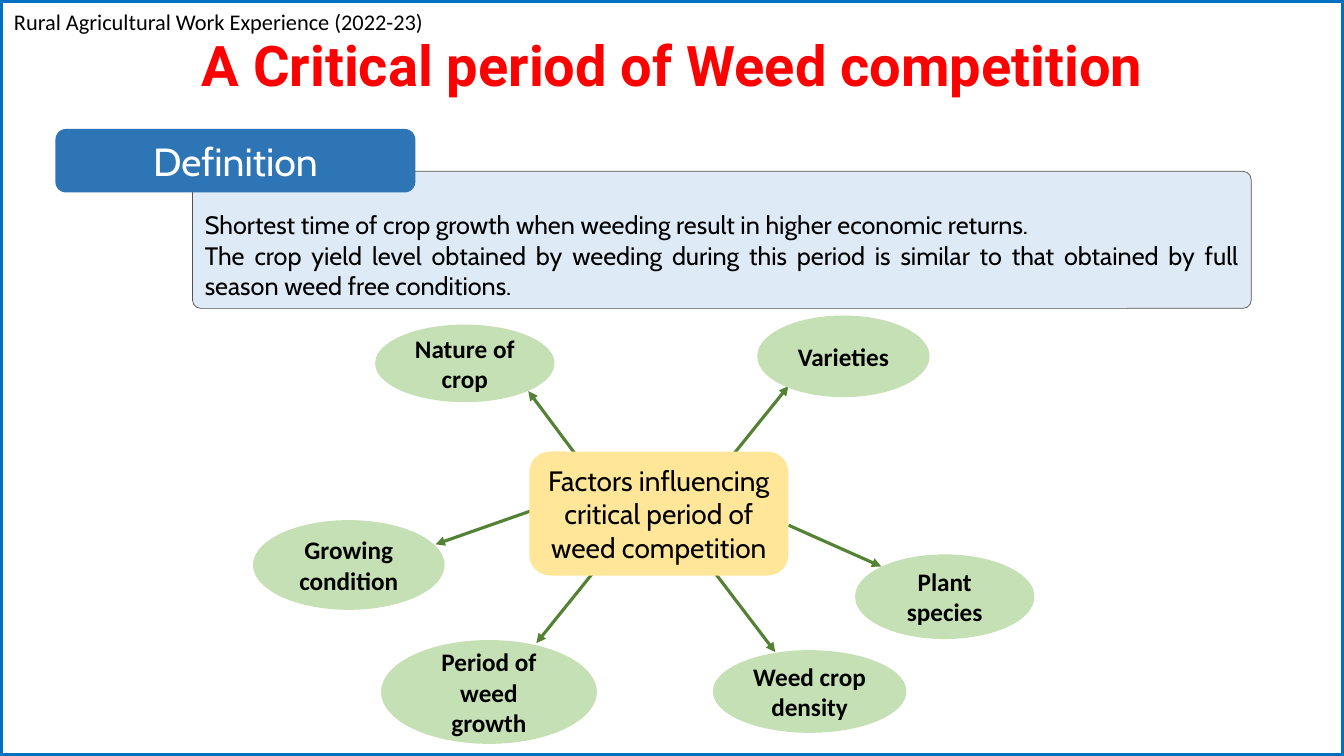
from dataclasses import dataclass

from lxml import etree
from pptx import Presentation
from pptx.dml.color import RGBColor
from pptx.enum.shapes import MSO_CONNECTOR, MSO_SHAPE
from pptx.enum.text import MSO_ANCHOR, PP_ALIGN
from pptx.oxml.ns import qn
from pptx.shapes.autoshape import Shape
from pptx.slide import Slide
from pptx.util import Inches, Pt

COLORS = {
    "border": "0070C0",
    "title": "FF0000",
    "text": "000000",
    "light_text": "FFFFFF",
    "panel": "DEEBF7",
    "panel_line": "525252",
    "heading": "2E75B6",
    "arrow": "548235",
    "hub": "FFE699",
    "factor": "C5E0B4",
}


@dataclass(frozen=True)
class TextStyle:
    name: str
    size: float
    color: str = "text"
    bold: bool = False
    align: PP_ALIGN = PP_ALIGN.CENTER


@dataclass(frozen=True)
class Area:
    left: float
    top: float
    width: float
    height: float

    def lengths(self) -> list[int]:
        return [Inches(v) for v in (self.left, self.top, self.width, self.height)]


@dataclass(frozen=True)
class Factor:
    """An influencing factor: its ellipse and the arrow that reaches it."""
    label: str
    area: Area
    start: tuple[float, float]
    end: tuple[float, float]


HEADER = TextStyle("Calibri", 16, align=PP_ALIGN.LEFT)
TITLE = TextStyle("Roboto", 40, "title", True)
HEADING = TextStyle("Cabin", 28, "light_text")
DEFINITION = TextStyle("Cabin", 18, align=PP_ALIGN.JUSTIFY)
HUB = TextStyle("Cabin", 20)
FACTOR = TextStyle("Calibri", 18, bold=True)

DEFINITION_LINES = [
    "Shortest time of crop growth when weeding result in higher economic returns.",
    "The crop yield level obtained by weeding during this period is similar to "
    "that obtained by full season weed free conditions.",
]

FACTORS = [
    Factor("Nature of crop", Area(3.72, 3.22, 1.78, 0.77), (5.77, 4.59), (5.24, 3.88)),
    Factor("Period of weed growth", Area(3.78, 6.35, 2.14, 1.03), (5.9, 5.66), (5.32, 6.38)),
    Factor("Growing condition", Area(2.51, 5.16, 1.9, 0.89), (5.29, 5.06), (4.32, 5.4)),
    Factor("Plant species", Area(8.48, 5.5, 1.78, 0.84), (7.82, 5.21), (8.74, 5.62)),
    Factor("Weed crop density", Area(7.07, 6.45, 1.92, 0.82), (7.05, 5.63), (7.69, 6.47)),
    Factor("Varieties", Area(7.51, 3.13, 1.71, 0.81), (7.24, 4.55), (7.82, 3.83)),
]


def rgb(color: str) -> RGBColor:
    return RGBColor.from_string(COLORS[color])


def write(box: Shape, lines: list[str], style: TextStyle) -> None:
    frame = box.text_frame
    frame.word_wrap = True
    font_values = {"name": style.name, "size": Pt(style.size), "bold": style.bold}
    for index, line in enumerate(lines):
        para = frame.add_paragraph() if index else frame.paragraphs[0]
        para.alignment = style.align
        span = para.add_run()
        span.text = line
        for attribute, value in font_values.items():
            setattr(span.font, attribute, value)
        span.font.color.rgb = rgb(style.color)


def add_text(page: Slide, area: Area, line: str, style: TextStyle) -> None:
    write(page.shapes.add_textbox(*area.lengths()), [line], style)


def add_box(page: Slide, kind: MSO_SHAPE, area: Area, fill: str | None = None,
            line: str | None = None, line_width: float = 1) -> Shape:
    box = page.shapes.add_shape(kind, *area.lengths())
    box.shadow.inherit = False
    box.text_frame.vertical_anchor = MSO_ANCHOR.MIDDLE
    if fill:
        box.fill.solid()
        box.fill.fore_color.rgb = rgb(fill)
    else:
        box.fill.background()
    if line:
        box.line.color.rgb = rgb(line)
        box.line.width = Pt(line_width)
    else:
        box.line.fill.background()
    return box


def add_arrow(page: Slide, start: tuple[float, float], end: tuple[float, float]) -> None:
    points = [Inches(v) for v in (*start, *end)]
    arrow = page.shapes.add_connector(MSO_CONNECTOR.STRAIGHT, *points)
    arrow.line.color.rgb = rgb("arrow")
    arrow.line.width = Pt(2.25)
    etree.SubElement(arrow.line._get_or_add_ln(), qn("a:tailEnd"), type="triangle")
    etree.SubElement(arrow._element.spPr, qn("a:effectLst"))


def add_definition(page: Slide) -> None:
    panel = add_box(page, MSO_SHAPE.ROUNDED_RECTANGLE, Area(1.91, 1.7, 10.5, 1.36),
                    "panel", "panel_line", 0.5)
    panel.adjustments[0] = 0.06
    panel.text_frame.margin_top = Inches(0.35)
    write(panel, DEFINITION_LINES, DEFINITION)
    heading = add_box(page, MSO_SHAPE.ROUNDED_RECTANGLE, Area(0.55, 1.28, 3.57, 0.63), "heading")
    write(heading, ["Definition"], HEADING)


def add_factor_map(page: Slide) -> None:
    for factor in FACTORS:
        add_arrow(page, factor.start, factor.end)
    hub = add_box(page, MSO_SHAPE.ROUNDED_RECTANGLE, Area(5.25, 4.48, 2.57, 1.23), "hub")
    write(hub, ["Factors influencing critical period of weed competition"], HUB)
    for factor in FACTORS:
        ellipse = add_box(page, MSO_SHAPE.OVAL, factor.area, "factor")
        write(ellipse, [factor.label], FACTOR)


def main() -> None:
    deck = Presentation()
    deck.slide_width, deck.slide_height = Inches(13.33), Inches(7.5)
    page = deck.slides.add_slide(deck.slide_layouts[6])
    add_box(page, MSO_SHAPE.RECTANGLE, Area(0, 0, 13.33, 7.5), line="border", line_width=4.5)
    add_text(page, Area(0.04, 0.03, 4.27, 0.37),
             "Rural Agricultural Work Experience (2022-23)", HEADER)
    add_text(page, Area(1.57, 0.25, 10.19, 0.77),
             "A Critical period of Weed competition", TITLE)
    add_definition(page)
    add_factor_map(page)
    deck.save("out.pptx")


if __name__ == "__main__":
    main()
